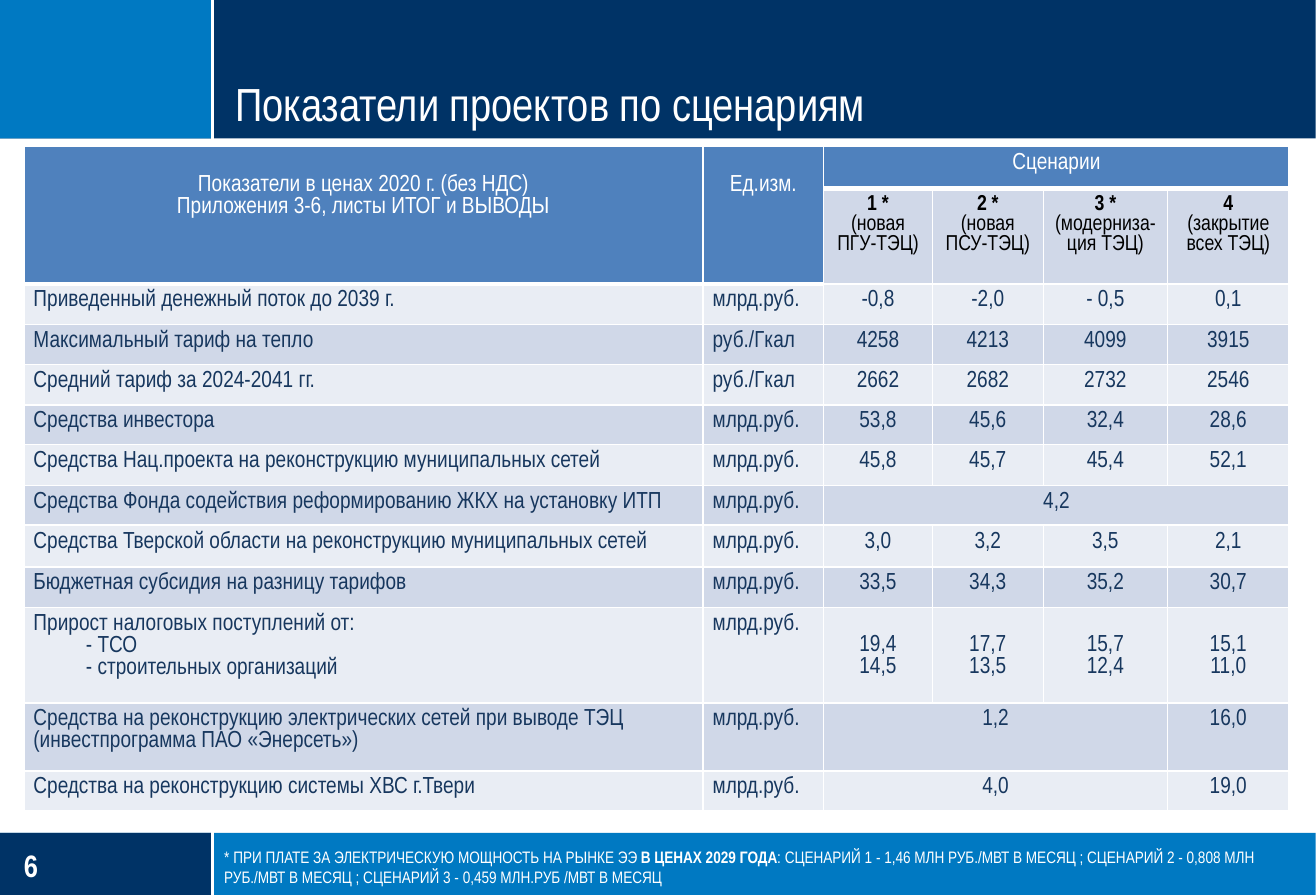
from lxml import etree
from pptx import Presentation
from pptx.dml.color import RGBColor
from pptx.enum import shapes, text
from pptx.oxml import ns
from pptx.util import Cm, Inches, Pt

BLUE = RGBColor(0x00, 0x79, 0xC2)
NAVY = RGBColor(0x00, 0x33, 0x66)
WHITE = RGBColor(0xFF, 0xFF, 0xFF)
BLACK = RGBColor(0x00, 0x00, 0x00)
HEADER = RGBColor(0x4F, 0x81, 0xBD)
BAND_DARK = RGBColor(0xD0, 0xD8, 0xE8)
BAND_LIGHT = RGBColor(0xE9, 0xED, 0xF4)
INK = RGBColor(0x17, 0x37, 0x5E)
FONT = "Arial Narrow"
LINE_HEIGHT = 0.18
CENTER = text.PP_ALIGN.CENTER


def style(paragraph, size, color, bold=False):
    paragraph.font.name = FONT
    paragraph.font.size = Pt(size)
    paragraph.font.color.rgb = color
    paragraph.font.bold = bold


def fill_cell(cell, lines, fill, color, size=14, centered=True, bottom=1):
    """Give a cell white borders, a fill and one paragraph per line."""
    properties = cell._tc.get_or_add_tcPr()
    for side, width in (("L", 1), ("R", 1), ("T", 1), ("B", bottom)):
        border = etree.SubElement(properties, ns.qn(f"a:ln{side}"), w=str(Pt(width)))
        solid = etree.SubElement(border, ns.qn("a:solidFill"))
        etree.SubElement(solid, ns.qn("a:srgbClr"), val=str(WHITE))
    cell.fill.solid()
    cell.fill.fore_color.rgb = fill
    cell.margin_left = cell.margin_right = Inches(0.08)
    cell.margin_top = cell.margin_bottom = Inches(0.05)
    cell.text = "\n".join(lines)
    for paragraph in cell.text_frame.paragraphs:
        paragraph.alignment = CENTER if centered else text.PP_ALIGN.LEFT
        style(paragraph, size, color)


presentation = Presentation()
presentation.slide_width = Cm(28)
presentation.slide_height = Inches(7.5)
slide = presentation.slides.add_slide(presentation.slide_layouts[6])

for left, top, width, height, color in (
    (0, 6.98, 11.02, 0.52, BLUE),
    (0, 0, 11.02, 1.16, NAVY),
    (0, 0, 1.78, 1.16, BLUE),
    (0, 6.98, 1.78, 0.52, NAVY),
):
    band = slide.shapes.add_shape(
        shapes.MSO_SHAPE.RECTANGLE, Inches(left), Inches(top), Inches(width), Inches(height))
    band.shadow.inherit = False
    band.fill.solid()
    band.fill.fore_color.rgb = color
    band.line.fill.background()

for ends in ((0, 6.96, 11.02, 6.96), (1.78, 6.96, 1.78, 7.5),
             (1.78, 0, 1.78, 1.17), (0, 1.17, 11.02, 1.17)):
    divider = slide.shapes.add_connector(
        shapes.MSO_CONNECTOR.STRAIGHT, *(Inches(value) for value in ends))
    divider.line.color.rgb = WHITE
    divider.line.width = Pt(1.25)
    etree.SubElement(divider._element.spPr, ns.qn("a:effectLst"))

for content, left, top, width, height, inset_x, inset_y, anchor, size, bold, spacing in (
    ("6", 0.2, 7.09, 1.11, 0.31, 0, 0, text.MSO_ANCHOR.MIDDLE, 18.7, True, 1.0),
    ("Показатели проектов по сценариям", 1.84, 0.53, 9.1, 0.64, 0.13, 0.07,
     text.MSO_ANCHOR.BOTTOM, 28, False, 0.9),
):
    frame = slide.shapes.add_textbox(
        Inches(left), Inches(top), Inches(width), Inches(height)).text_frame
    frame.word_wrap = True
    frame.vertical_anchor = anchor
    frame.margin_left = frame.margin_right = Inches(inset_x)
    frame.margin_top = frame.margin_bottom = Inches(inset_y)
    frame.text = content
    frame.paragraphs[0].line_spacing = spacing
    style(frame.paragraphs[0], size, WHITE, bold)

column_widths = (5.69, 1.01, 0.91, 0.93, 1.04, 1.02)
row_heights = (0.35, 0.8, 0.34, 0.33, 0.34, 0.33, 0.34, 0.33, 0.35, 0.34, 0.79, 0.57, 0.33)
table_shape = slide.shapes.add_table(
    len(row_heights), len(column_widths), Inches(0.2), Inches(1.23),
    Inches(sum(column_widths)), Inches(sum(row_heights)))
table = table_shape.table
for column, width in zip(table.columns, column_widths):
    column.width = Inches(width)
for row, height in zip(table.rows, row_heights):
    row.height = Inches(height)

headings = (
    (0, ["Показатели в ценах 2020 г. (без НДС)", "Приложения 3-6, листы ИТОГ и ВЫВОДЫ"]),
    (1, ["Ед.изм."]),
)
for column, lines in headings:
    for row in (0, 1):
        fill_cell(table.cell(row, column), lines if row == 0 else [], HEADER, WHITE, bottom=3)
    table.cell(0, column).margin_top = Inches(0.05 + LINE_HEIGHT)
    table.cell(0, column).merge(table.cell(1, column))

scenarios = (
    ("1 *", "(новая ПГУ-ТЭЦ)"),
    ("2 *", "(новая ПСУ-ТЭЦ)"),
    ("3 *", "(модерниза-ция ТЭЦ)"),
    ("4", "(закрытие всех ТЭЦ)"),
)
for column, scenario in enumerate(scenarios, 2):
    fill_cell(table.cell(0, column), ["Сценарии"] if column == 2 else [], HEADER, WHITE, bottom=3)
    cell = table.cell(1, column)
    fill_cell(cell, scenario, BAND_DARK, BLACK, size=13)
    cell.text_frame.paragraphs[0].font.bold = True
table.cell(0, 2).merge(table.cell(0, 5))

# A list of fewer than four values starts with one that spans the spare columns.
indicators = (
    ("Приведенный денежный поток до 2039 г.", "млрд.руб.", ["-0,8", "-2,0", "- 0,5", "0,1"]),
    ("Максимальный тариф на тепло", "руб./Гкал", ["4258", "4213", "4099", "3915"]),
    ("Средний тариф за 2024-2041 гг.", "руб./Гкал", ["2662", "2682", "2732", "2546"]),
    ("Средства инвестора", "млрд.руб.", ["53,8", "45,6", "32,4", "28,6"]),
    ("Средства Нац.проекта на реконструкцию муниципальных сетей", "млрд.руб.",
     ["45,8", "45,7", "45,4", "52,1"]),
    ("Средства Фонда содействия реформированию ЖКХ на установку ИТП", "млрд.руб.", ["4,2"]),
    ("Средства Тверской области на реконструкцию муниципальных сетей", "млрд.руб.",
     ["3,0", "3,2", "3,5", "2,1"]),
    ("Бюджетная субсидия на разницу тарифов", "млрд.руб.", ["33,5", "34,3", "35,2", "30,7"]),
    ("Прирост налоговых поступлений от:\n- ТСО\n- строительных организаций", "млрд.руб.",
     ["19,4\n14,5", "17,7\n13,5", "15,7\n12,4", "15,1\n11,0"]),
    ("Средства на реконструкцию электрических сетей при выводе ТЭЦ "
     "(инвестпрограмма ПАО «Энерсеть»)", "млрд.руб.", ["1,2", "16,0"]),
    ("Средства на реконструкцию системы ХВС г.Твери", "млрд.руб.", ["4,0", "19,0"]),
)
for row, (name, unit, values) in enumerate(indicators, 2):
    spare = 4 - len(values)
    contents = [name, unit, values[0]] + [""] * spare + values[1:]
    for column, content in enumerate(contents):
        cell = table.cell(row, column)
        fill_cell(cell, content.split("\n"), BAND_DARK if row % 2 else BAND_LIGHT, INK,
                  centered=column > 1)
        if column > 1 and "\n" in content:
            cell.margin_top = Inches(0.05 + LINE_HEIGHT)
    for paragraph in table.cell(row, 0).text_frame.paragraphs[1:]:
        paragraph._p.get_or_add_pPr().set("marL", str(Inches(0.44)))
    if spare:
        table.cell(row, 2).merge(table.cell(row, 2 + spare))

footnote = slide.shapes.add_textbox(Inches(1.78), Inches(7.05), Inches(9.21), Inches(0.45))
footnote.text_frame.word_wrap = True
paragraph = footnote.text_frame.paragraphs[0]
style(paragraph, 10, WHITE)
for content, bold in (
    ("* ПРИ ПЛАТЕ ЗА ЭЛЕКТРИЧЕСКУЮ МОЩНОСТЬ НА РЫНКЕ ЭЭ ", False),
    ("В ЦЕНАХ 2029 ГОДА", True),
    (": СЦЕНАРИЙ 1 - 1,46 МЛН РУБ./МВТ В МЕСЯЦ ; СЦЕНАРИЙ 2 - 0,808 МЛН РУБ./МВТ В МЕСЯЦ ; "
     "СЦЕНАРИЙ 3 - 0,459 МЛН.РУБ /МВТ В МЕСЯЦ", False),
):
    run = paragraph.add_run()
    run.text = content
    run.font.bold = bold

presentation.save("out.pptx")
